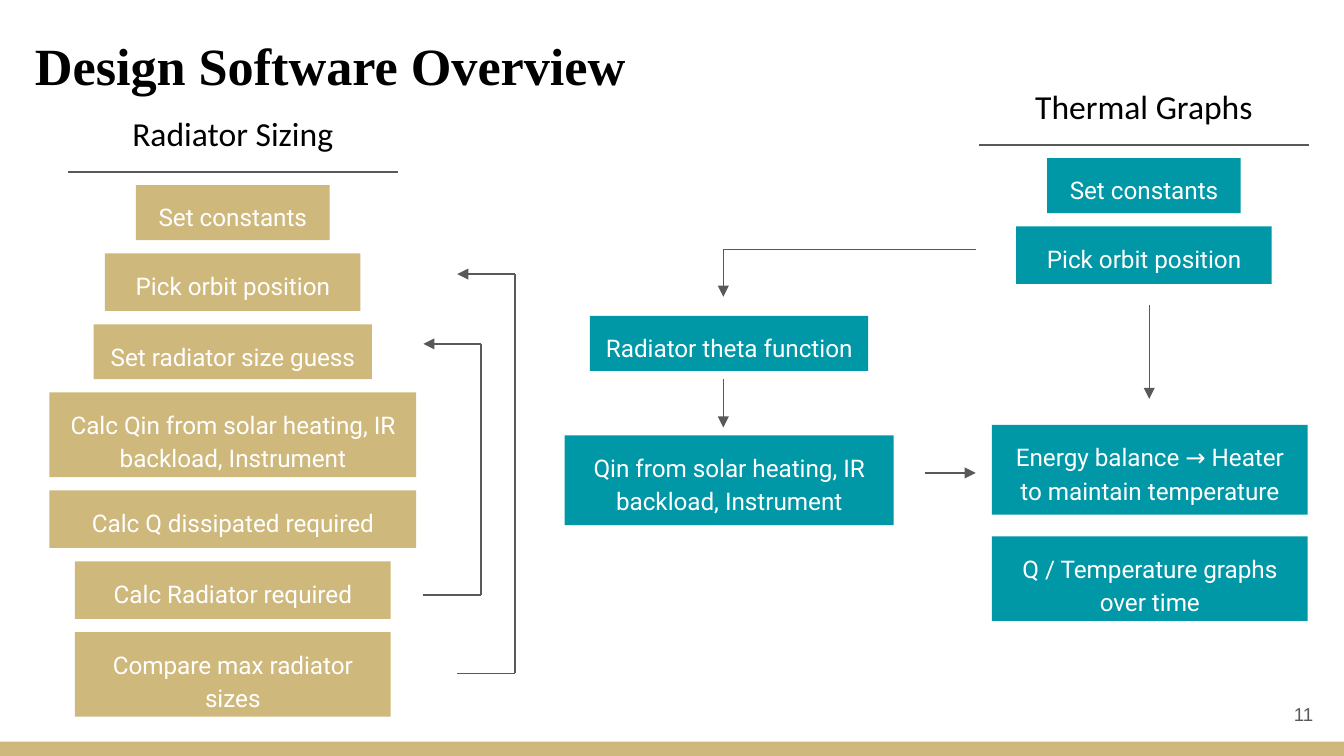
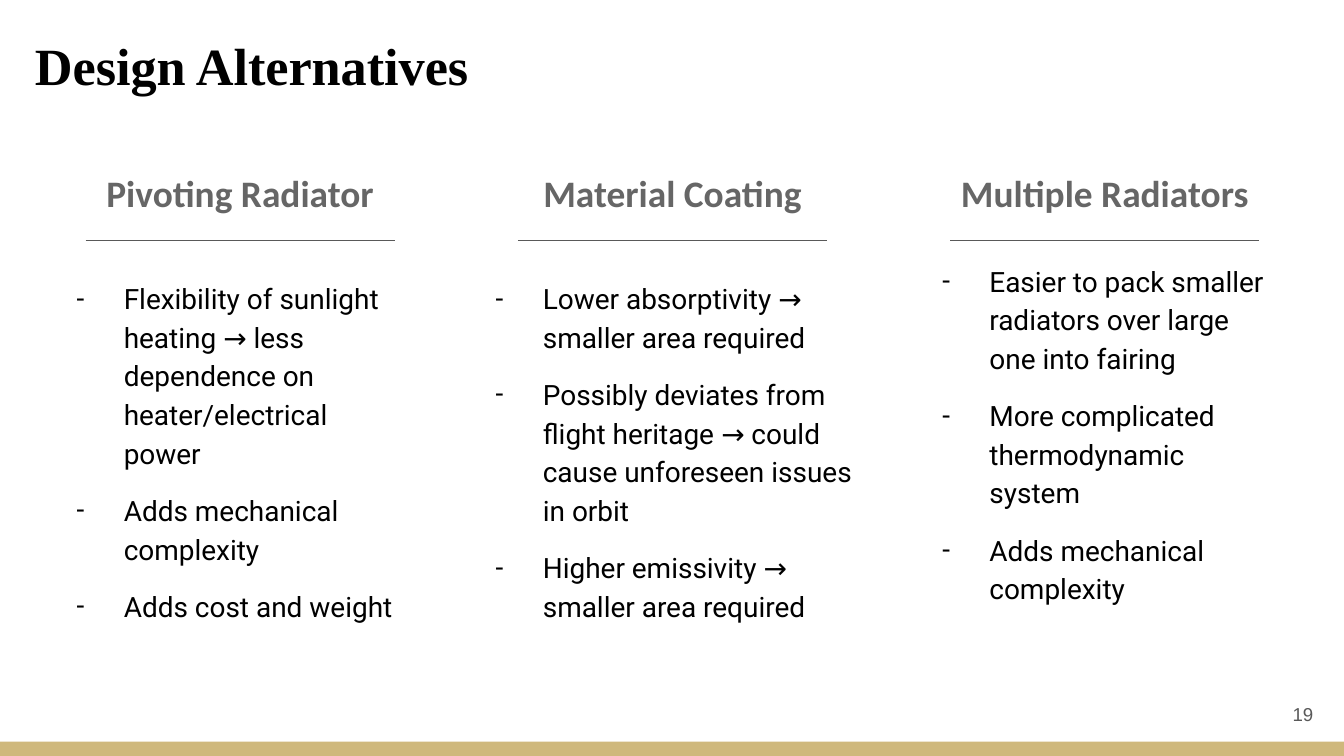
from lxml.etree import SubElement
from pptx import Presentation
from pptx.dml.color import RGBColor
from pptx.enum.shapes import MSO_CONNECTOR as Connector, MSO_SHAPE as Shape
from pptx.enum.text import MSO_ANCHOR as Anchor, MSO_AUTO_SIZE as AutoSize, PP_ALIGN as Align
from pptx.oxml.ns import qn
from pptx.util import Cm, Pt

WIDTH, HEIGHT = 25.4, 14.29
GOLD, TEAL, WHITE, BLACK = "CFB87C", "0097A7", "FFFFFF", "000000"
GREY, HEADING_GREY = "595959", "666666"

TITLE = {"name": "Times New Roman", "size": Pt(28), "bold": True}
FLOW_HEADING = {"name": "Calibri", "size": Pt(18), "bold": False}
COLUMN_HEADING = {"name": "Calibri", "size": Pt(20), "bold": True}
STEP = {"name": "Roboto", "size": Pt(13), "bold": False}
BULLET = {"name": "Roboto", "size": Pt(15), "bold": False}
NUMBER = {"name": "Arial", "size": Pt(10), "bold": False}

SIZING_STEPS = [
    ("Set constants", 3.66, 1.04),
    ("Pick orbit position", 4.83, 1.09),
    ("Set radiator size guess", 5.26, 1.04),
    ("Calc Qin from solar heating, IR backload, Instrument", 6.93, 1.6),
    ("Calc Q dissipated required", 6.93, 1.09),
    ("Calc Radiator required", 5.97, 1.09),
    ("Compare max radiator sizes", 5.97, 1.6),
]
THETA_STEPS = [
    ("Radiator theta function", 5.26, 1.04),
    ("Qin from solar heating, IR backload, Instrument", 6.22, 1.7),
]
BALANCE_STEPS = [
    ("Energy balance → Heater to maintain temperature", 5.97, 1.7),
    ("Q / Temperature graphs over time", 5.97, 1.6),
]
ALTERNATIVES = [
    ("Pivoting Radiator", (-0.2, 2.01, 7.04), [
        "Flexibility of sunlight heating → less dependence on heater/electrical power",
        "Adds mechanical complexity",
        "Adds cost and weight",
    ]),
    ("Material Coating", (-0.45, 2.01, 7.82), [
        "Lower absorptivity → smaller area required",
        "Possibly deviates from flight heritage → could cause unforeseen issues in orbit",
        "Higher emissivity → smaller area required",
    ]),
    ("Multiple Radiators", (-0.18, 1.68, 7.04), [
        "Easier to pack smaller radiators over large one into fairing",
        "More complicated thermodynamic system",
        "Adds mechanical complexity",
    ]),
]


def color(value):
    return RGBColor.from_string(value)


def apply(target, values):
    for name, value in values.items():
        setattr(target, name, value)


def lengths(box):
    return [Cm(value) for value in box]


def write(shape, lines, style, ink, align=Align.LEFT, anchor=Anchor.TOP, spacing=1.0):
    frame = shape.text_frame
    frame.text = "\n".join(lines)
    apply(frame, {"word_wrap": True, "auto_size": AutoSize.NONE, "vertical_anchor": anchor,
                  "margin_left": Cm(0.25), "margin_right": Cm(0.25),
                  "margin_top": Cm(0.25), "margin_bottom": Cm(0.25)})
    for paragraph in frame.paragraphs:
        apply(paragraph, {"alignment": align, "line_spacing": spacing})
        for run in paragraph.runs:
            apply(run.font, style)
            run.font.color.rgb = color(ink)
    return frame


def add_text(slide, box, lines, style, ink, **options):
    return write(slide.shapes.add_textbox(*lengths(box)), lines, style, ink, **options)


def add_block(slide, box, fill):
    shape = slide.shapes.add_shape(Shape.RECTANGLE, *lengths(box))
    shape.shadow.inherit = False
    shape.fill.solid()
    shape.fill.fore_color.rgb = color(fill)
    shape.line.fill.background()
    return shape


def add_line(slide, start, end, arrow=False):
    connector = slide.shapes.add_connector(Connector.STRAIGHT, *lengths(start + end))
    connector.line.color.rgb = color(GREY)
    connector.line.width = Pt(0.75)
    if arrow:
        SubElement(connector.line._get_or_add_ln(), qn("a:tailEnd"), type="triangle")
    SubElement(connector._element.spPr, qn("a:effectLst"))


def add_path(slide, points):
    last = len(points) - 2
    for index, (start, end) in enumerate(zip(points, points[1:])):
        add_line(slide, start, end, arrow=index == last)


def add_page(presentation, title, title_width, number):
    slide = presentation.slides.add_slide(presentation.slide_layouts[5])
    add_block(slide, (0, HEIGHT - 0.27, WIDTH, 0.27), GOLD)
    placeholder = slide.shapes.title
    left, top, width, height = lengths((0.41, 0.38, title_width, 1.6))
    apply(placeholder, {"left": left, "top": top, "width": width, "height": height})
    write(placeholder, [title], TITLE, BLACK)
    add_text(slide, (23.55, 12.95, 1.52, 1.09), [number], NUMBER, GREY,
             align=Align.RIGHT, anchor=Anchor.MIDDLE)
    return slide


def add_stack(slide, centre, top, gap, steps, fill):
    for text, width, height in steps:
        shape = add_block(slide, (centre - width / 2, top, width, height), fill)
        write(shape, [text], STEP, WHITE, align=Align.CENTER, spacing=1.15)
        top += height + gap


def add_flow(slide, left, top, heading, steps, fill):
    width = 6.4
    add_text(slide, (left, top, width, 1.27), [heading], FLOW_HEADING, BLACK,
             align=Align.CENTER, spacing=1.15)
    add_line(slide, (left + 0.08, top + 1.47), (left + width - 0.08, top + 1.47))
    add_stack(slide, left + width / 2, top + 1.72, 0.25, steps, fill)


def add_loop(slide, left, top, bottom):
    right = left + 1.09
    add_path(slide, [(left, bottom), (right, bottom), (right, top), (left, top)])


def add_alternative(slide, left, top, heading, list_box, items):
    width = 7.04
    add_text(slide, (left, top, width, 1.6), [heading], COLUMN_HEADING, HEADING_GREY,
             align=Align.CENTER)
    add_line(slide, (left + 0.6, top + 1.58), (left + width - 0.6, top + 1.58))
    offset_x, offset_y, list_width = list_box
    frame = add_text(slide, (left + offset_x, top + offset_y, list_width, 8.2), items,
                     BULLET, BLACK, spacing=1.15)
    for index, paragraph in enumerate(frame.paragraphs):
        paragraph.space_before = Pt(10 if index else 0)
        properties = paragraph._p.get_or_add_pPr()
        properties.set("marL", str(Cm(1.27)))
        properties.set("indent", str(-Cm(0.89)))
        bullet_color = SubElement(properties, qn("a:buClr"))
        SubElement(bullet_color, qn("a:srgbClr"), val=BLACK)
        SubElement(properties, qn("a:buFont"), typeface="Roboto")
        SubElement(properties, qn("a:buChar"), char="-")


def build_overview(presentation):
    slide = add_page(presentation, "Design Software Overview", 11.91, "11")
    add_flow(slide, 1.2, 1.78, "Radiator Sizing", SIZING_STEPS, GOLD)
    add_loop(slide, 8.0, 6.5, 11.25)
    add_loop(slide, 8.64, 5.18, 12.73)
    add_flow(slide, 18.42, 1.27, "Thermal Graphs", SIZING_STEPS[:2], TEAL)
    add_stack(slide, 13.78, 5.97, 1.22, THETA_STEPS, TEAL)
    add_stack(slide, 21.73, 8.03, 0.41, BALANCE_STEPS, TEAL)
    add_path(slide, [(18.44, 4.72), (13.67, 4.72), (13.67, 5.61)])
    add_path(slide, [(13.67, 7.16), (13.67, 8.08)])
    add_path(slide, [(17.48, 8.94), (18.44, 8.94)])
    add_path(slide, [(21.72, 5.77), (21.72, 7.54)])


def build_alternatives(presentation):
    slide = add_page(presentation, "Design Alternatives", 23.67, "19")
    for index, (heading, list_box, items) in enumerate(ALTERNATIVES):
        add_alternative(slide, 1.02 + 8.17 * index, 2.97, heading, list_box, items)


def main():
    presentation = Presentation()
    apply(presentation, {"slide_width": Cm(WIDTH), "slide_height": Cm(HEIGHT)})
    build_overview(presentation)
    build_alternatives(presentation)
    presentation.save("out.pptx")


if __name__ == "__main__":
    main()
